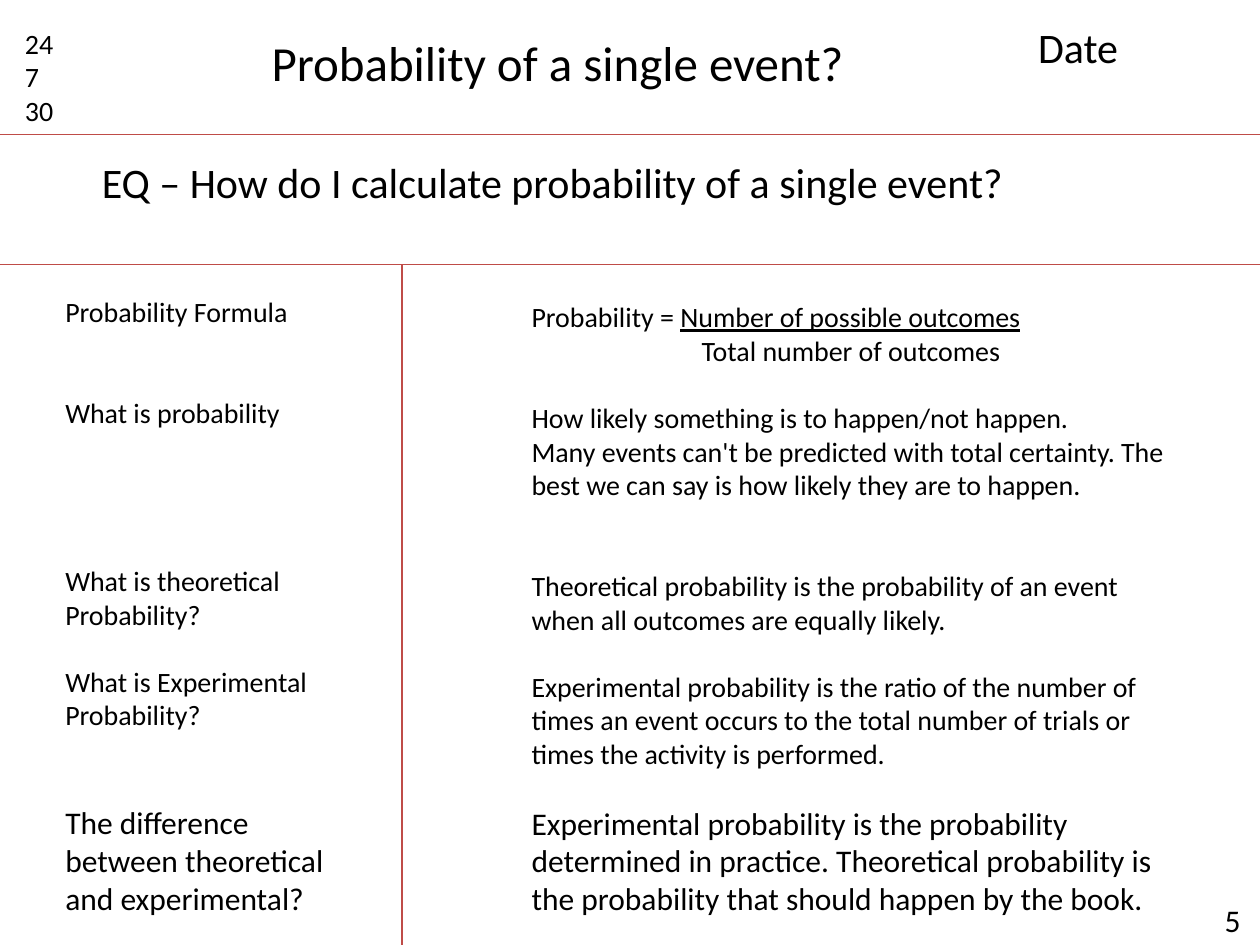
from pptx import Presentation
from pptx.dml.color import RGBColor
from pptx.enum.shapes import MSO_CONNECTOR
from pptx.enum.text import PP_ALIGN
from pptx.oxml.ns import qn
from pptx.util import Inches, Pt
from lxml.etree import SubElement

WIDE, HIGH = 10, 7.5
INK, RULE = "000000", "BF4C48"
ROW = 19.2  # points taken by one line of 16 pt text


def color(code):
    return RGBColor.from_string(code)


def add_rule(slide, x1, y1, x2, y2):
    rule = slide.shapes.add_connector(
        MSO_CONNECTOR.STRAIGHT, *map(Inches, (x1, y1, x2, y2)))
    rule.line.color.rgb = color(RULE)
    rule.line.width = Pt(0.75)
    SubElement(rule._element.spPr, qn("a:effectLst"))


def add_text(slide, box, items, wrap=True, align=PP_ALIGN.LEFT):
    """Each item is (text, size, points before, left indent, underlined end)."""
    frame = slide.shapes.add_textbox(*map(Inches, box)).text_frame
    frame.word_wrap = wrap
    for i, (text, size, gap, indent, under) in enumerate(items):
        para = frame.add_paragraph() if i else frame.paragraphs[0]
        para.alignment = align
        if gap:
            para.space_before = Pt(gap)
        if indent:
            para._p.get_or_add_pPr().set("marL", str(Inches(indent)))
        for part, line in ((text, False), (under, True)):
            if part:
                run = para.add_run()
                run.text = part
                style = {"name": "Calibri", "size": Pt(size), "underline": line}
                for key, value in style.items():
                    setattr(run.font, key, value)
                run.font.color.rgb = color(INK)


def item(text, size=16, gap=0, indent=0, under=""):
    return text, size, gap, indent, under


def add_header(slide, x, y, w, h):
    add_text(slide, (x + 0.1, y + 0.16, 0.63, 0.91),
             [item(mark) for mark in ("24", "7", "30")])
    add_text(slide, (x + 2.03, y + 0.21, 4.79, 0.57),
             [item("Probability of a single event?", 28)],
             wrap=False, align=PP_ALIGN.CENTER)
    add_text(slide, (x + 8.14, y + 0.12, 1.73, 0.5), [item("Date", 24)])
    add_rule(slide, x, y + h, x + w, y + h)


def add_question(slide, x, y, w, h):
    add_text(slide, (x + 0.71, y + 0.12, 8.05, 0.5),
             [item("EQ – How do I calculate probability of a single event?", 24)])
    add_rule(slide, x, y + h, x + w, y + h)


def add_notes(slide, x, y, w, h):
    """Cue column and note column, split by an upright rule."""
    split = x + 3.19
    add_rule(slide, split, y, split, y + h)
    add_text(slide, (x + 0.42, y + 0.19, 2.6, 5.08), [
        item("Probability Formula"),
        item("What is probability", gap=2 * ROW),
        item("What is theoretical", gap=4 * ROW),
        item("Probability?"),
        item("What is Experimental", gap=ROW),
        item("Probability?"),
        item("The difference between theoretical and experimental?",
             18, gap=41),
    ])
    add_text(slide, (x + 4.12, y + 0.23, 5.28, 5.1), [
        item("Probability = ", under="Number of possible outcomes"),
        item("Total number of outcomes", indent=1.35),
        item("How likely something is to happen/not happen.", gap=ROW),
        item("Many events can't be predicted with total certainty. "
             "The best we can say is how likely they are to happen."),
        item("Theoretical probability is the probability of an event "
             "when all outcomes are equally likely.", gap=2 * ROW),
        item("Experimental probability is the ratio of the number of times "
             "an event occurs to the total number of trials or times the "
             "activity is performed.", gap=ROW),
        item("Experimental probability is the probability determined in "
             "practice. Theoretical probability is the probability that "
             "should happen by the book.", 18, gap=ROW),
    ])
    add_text(slide, (x + w - 0.38, y + h - 0.4, 0.38, 0.4), [item("5", 18)])


def main():
    deck = Presentation()
    deck.slide_width, deck.slide_height = Inches(WIDE), Inches(HIGH)
    slide = deck.slides.add_slide(deck.slide_layouts[6])
    top, mid = 1.07, 2.1
    add_header(slide, 0, 0, WIDE, top)
    add_question(slide, 0, top, WIDE, mid - top)
    add_notes(slide, 0, mid, WIDE, HIGH - mid)
    deck.save("out.pptx")


if __name__ == "__main__":
    main()
